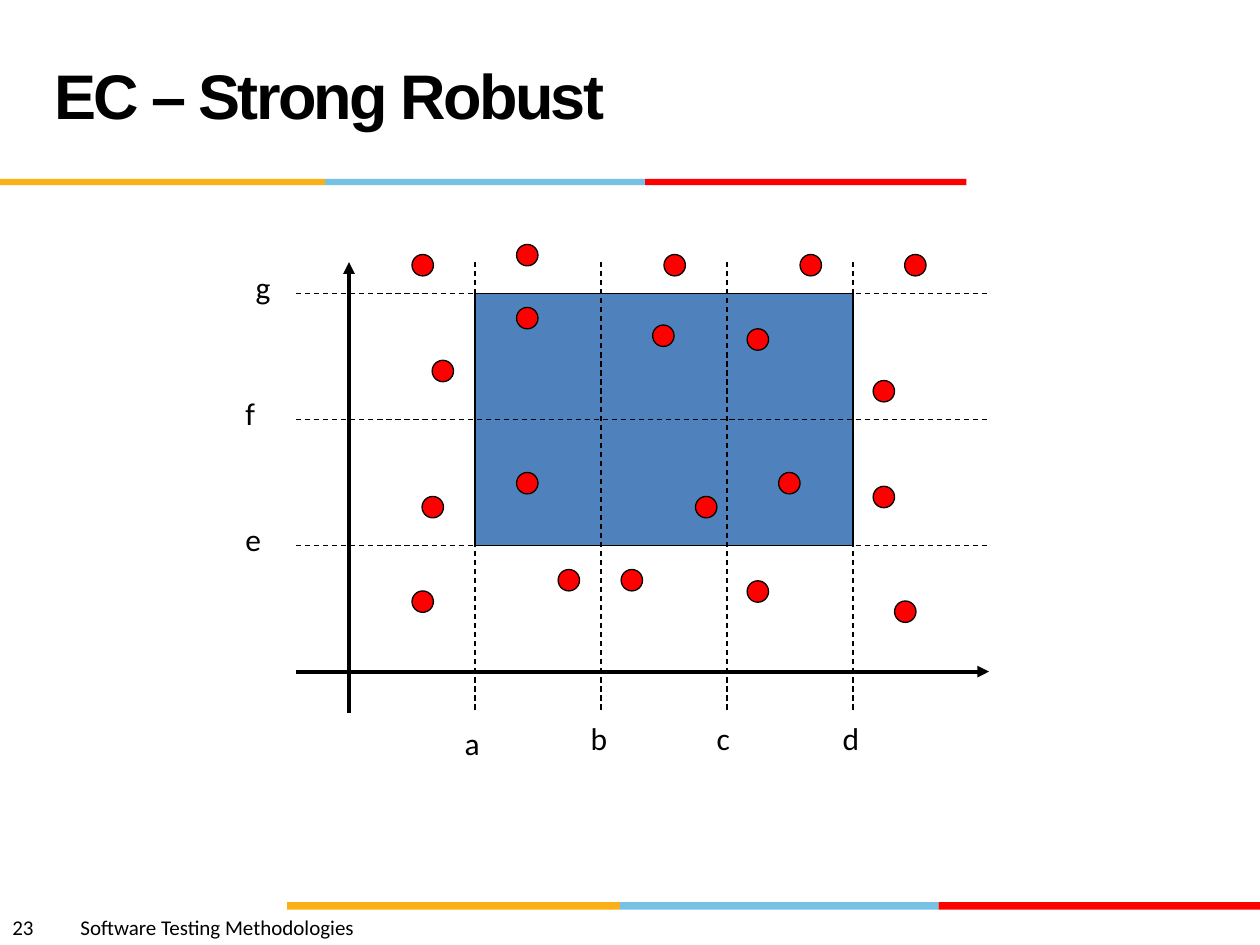
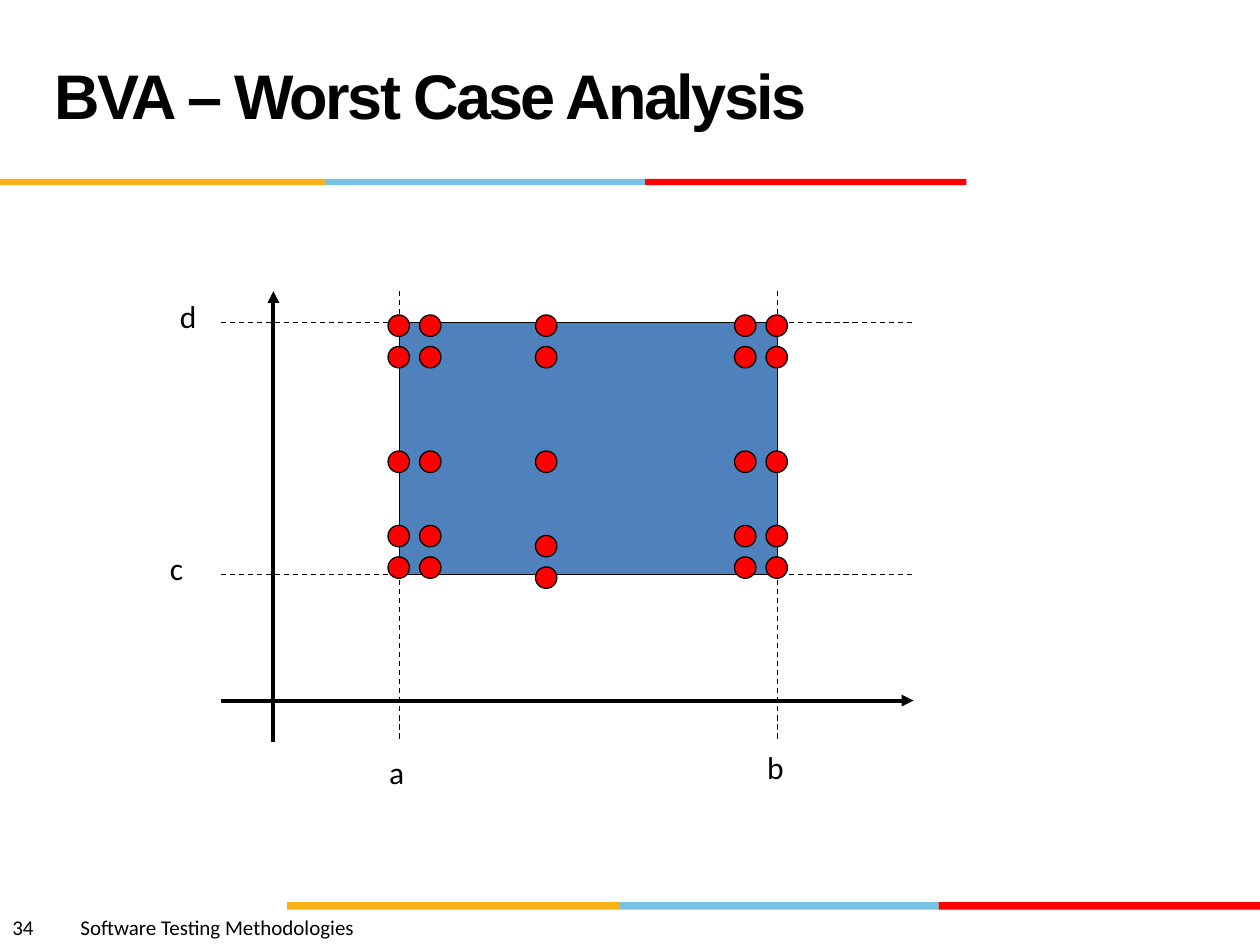
import pptx
import pptx.dml.color
import pptx.enum.dml
import pptx.enum.shapes
import pptx.enum.text
import pptx.oxml
import pptx.oxml.ns
import pptx.util
from dataclasses import dataclass

Inches, Pt = pptx.util.Inches, pptx.util.Pt
KIND = pptx.enum.shapes.MSO_SHAPE
TEXT = pptx.enum.text
qn = pptx.oxml.ns.qn


@dataclass(frozen=True)
class Theme:
    ink: str = "000000"
    area: str = "4F81BD"
    dot: str = "FF0000"
    bands: tuple = ("FCB017", "76C2E5", "FF0000")
    head: str = "Arial"
    body: str = "Calibri"
    title: int = 36
    label: int = 18
    foot: int = 12
    thin: float = 0.75
    thick: float = 2.25


THEME = Theme()


# Basic parts
def rgb(code):
    return pptx.dml.color.RGBColor.from_string(code)


def style(item, **values):
    for name, value in values.items():
        setattr(item, name, value)


def child(parent, tag, **values):
    node = parent.makeelement(qn(tag), {})
    for name, value in values.items():
        node.set(name, str(value))
    parent.append(node)
    return node


def ink(font, face, size, bold=False):
    style(font, name=face, size=Pt(size), bold=bold)
    font.color.rgb = rgb(THEME.ink)


def block(slide, kind, box, fill, edge=True):
    shape = slide.shapes.add_shape(kind, *map(Inches, box))
    shape.shadow.inherit = False
    shape.fill.solid()
    shape.fill.fore_color.rgb = rgb(fill)
    if edge:
        shape.line.color.rgb = rgb(THEME.ink)
        shape.line.width = Pt(THEME.thin)
    else:
        shape.line.fill.background()


def rule(slide, start, end, axis=False):
    """Draw a solid axis with an arrowhead, or a thin dashed guide."""
    line = slide.shapes.add_connector(
        pptx.enum.shapes.MSO_CONNECTOR.STRAIGHT, *map(Inches, start + end))
    line.line.color.rgb = rgb(THEME.ink)
    line.line.width = Pt(THEME.thick if axis else THEME.thin)
    if axis:
        child(line.line._get_or_add_ln(), "a:tailEnd", type="triangle")
    else:
        line.line.dash_style = pptx.enum.dml.MSO_LINE.DASH
    child(line._element.spPr, "a:effectLst")


def label(slide, text, box, size, wrap=False, tab=None):
    frame = slide.shapes.add_textbox(*map(Inches, box)).text_frame
    style(frame, word_wrap=wrap, text=text)
    para = frame.paragraphs[0]
    if tab:
        tabs = child(para._p.get_or_add_pPr(), "a:tabLst")
        child(tabs, "a:tab", pos=Inches(tab), algn="l")
    ink(para.runs[0].font, THEME.body, size)


# Shared frame of a slide
def band(slide, left, top, widths, height):
    for width, fill in zip(widths, THEME.bands):
        block(slide, KIND.RECTANGLE, (left, top, width, height), fill, False)
        left += width


def heading(slide, text, box):
    title = slide.shapes.title
    style(title, **dict(zip(("left", "top", "width", "height"),
                            map(Inches, box))))
    frame = title.text_frame
    style(frame, text=text, word_wrap=True, auto_size=TEXT.MSO_AUTO_SIZE.NONE,
          vertical_anchor=TEXT.MSO_ANCHOR.MIDDLE)
    para = frame.paragraphs[0]
    style(para, alignment=TEXT.PP_ALIGN.LEFT, line_spacing=Pt(THEME.title))
    run = para.runs[0]
    ink(run.font, THEME.head, THEME.title, True)
    run._r.get_or_add_rPr().set("spc", "-150")


def page(deck, title, number):
    slide = deck.slides.add_slide(deck.slide_layouts[5])
    band(slide, 2.28, 7.16, (2.64, 2.53, 2.55), 0.06)
    band(slide, 0, 1.42, (2.58, 2.54, 2.55), 0.05)
    label(slide, f"{number}\tSoftware Testing Methodologies",
          (0, 7.21, 5, 0.3), THEME.foot, True, 0.54)
    heading(slide, title, (0.33, 0.17, 6.92, 1.25))
    return slide


# Plot of the input domain, in a box of 5.5 by 3.58 inches
def plot(slide, left, top, cols, rows, dots):
    wide, high, size = 5.5, 3.58, 0.17
    west, north = left + 1.42, top + 0.25
    block(slide, KIND.RECTANGLE, (west, north, 3, 2), THEME.area)

    # Axes
    rule(slide, (left + 0.42, top + high), (left + 0.42, top), True)
    rule(slide, (left, top + 3.25), (left + wide, top + 3.25), True)

    # Guides, one unit apart, and their labels
    for name, step in cols.items():
        x = west + step
        rule(slide, (x, top), (x, top + high))
        drop = 0 if step else 0.04
        label(slide, name, (x - 0.18, top + high + drop, 0.34, 0.4),
              THEME.label)
    for name, step in rows.items():
        y = north + step
        rule(slide, (left, y), (left + wide, y))
        shift = -0.5 if step else -0.42
        label(slide, name, (left + shift, y - 0.25, 0.34, 0.4), THEME.label)

    # Test points
    for x, y in dots:
        block(slide, KIND.OVAL, (left + x, top + y, size, size), THEME.dot)


def robust(deck):
    inner = [(1.75, 1.67), (2.83, 0.5), (3.83, 1.67), (1.75, 0.36),
             (3.17, 1.86), (3.58, 0.53)]
    above = [(0.92, -0.06), (1.75, -0.14), (2.92, -0.06), (4, -0.06),
             (4.83, -0.06)]
    below = [(0.92, 2.61), (2.08, 2.44), (2.58, 2.44), (3.58, 2.53),
             (4.75, 2.69)]
    sides = [(1, 1.86), (1.08, 0.78), (4.58, 0.94), (4.58, 1.78)]
    slide = page(deck, "EC – Strong Robust", 23)
    plot(slide, 2.35, 2.08, {"a": 0, "b": 1, "c": 2, "d": 3},
         {"e": 2, "f": 1, "g": 0}, inner + above + below + sides)


def worst(deck):
    upper, mid = (0.19, 0.44, 1.27), 2.5
    dots = [(x, y) for x in (1.33, 1.58, mid, 4.08, 4.33)
            for y in upper + ((1.94, 2.19) if x == mid else (1.86, 2.11))]
    slide = page(deck, "BVA – Worst Case Analysis", 34)
    plot(slide, 1.75, 2.31, {"a": 0, "b": 3}, {"c": 2, "d": 0}, dots)


def main():
    deck = pptx.Presentation()
    style(deck, slide_width=Inches(10), slide_height=Inches(7.5))
    robust(deck)
    worst(deck)
    deck.save("out.pptx")


if __name__ == "__main__":
    main()
